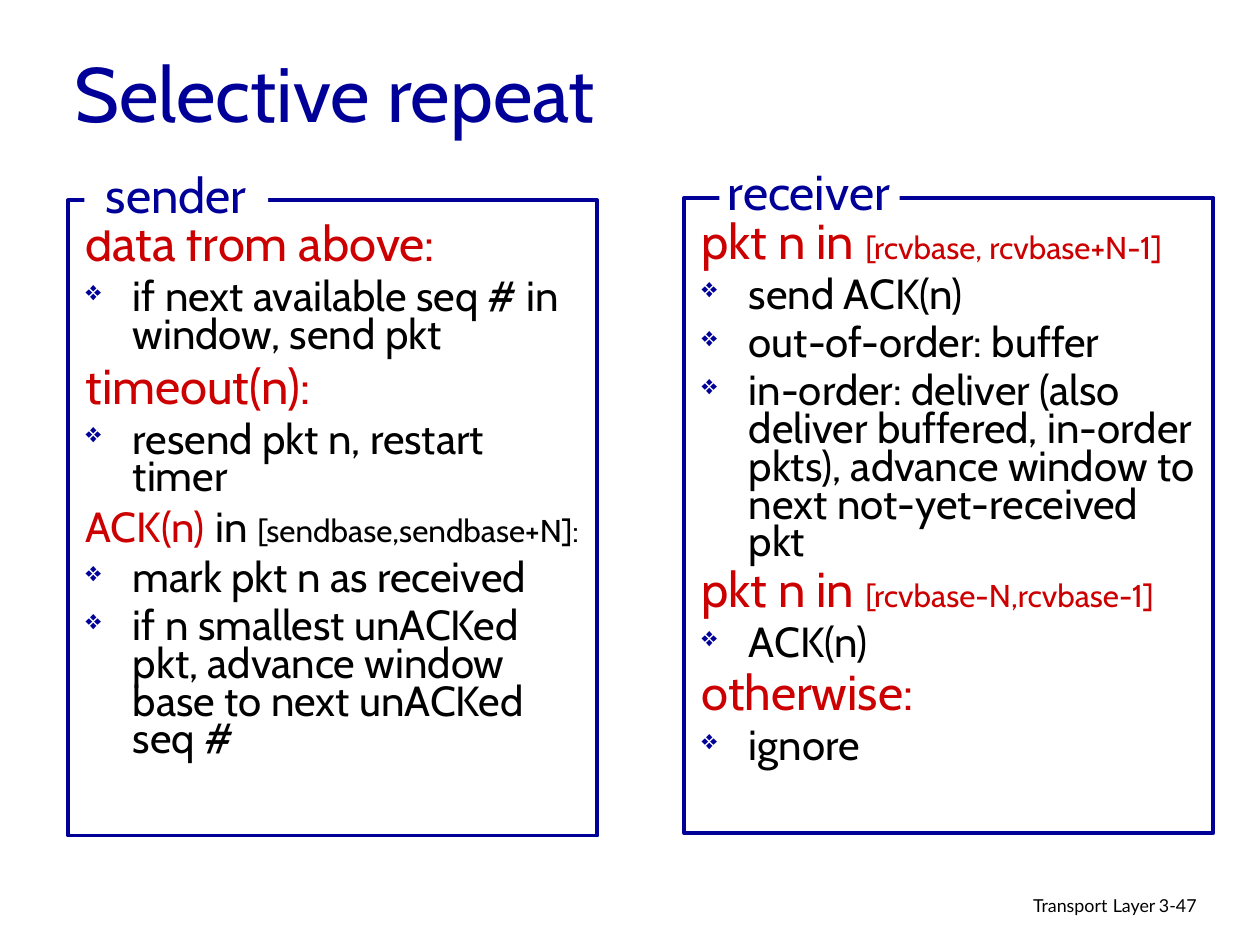
from lxml.etree import SubElement as Sub
from pptx import Presentation
from pptx.dml.color import RGBColor as RGB
from pptx.enum.shapes import MSO_SHAPE as Shape
from pptx.enum.text import MSO_ANCHOR as Anchor, MSO_AUTO_SIZE as Auto, PP_ALIGN as Align
from pptx.oxml.ns import qn
from pptx.util import Pt

# Content: a line is (kind, space before, runs); a run is (text, size, colour)
BLUE, RED, BLACK, WHITE = "000099", "CC0000", "000000", "FFFFFF"
TITLE = "Selective repeat"


def head(gap, text, note=""):
    runs = [(text, 28, RED)]
    if note:
        runs.append((note, 18, RED))
    return "head", gap, runs


def item(text):
    return "item", 6, [(text, 24, BLACK)]


SENDER = [
    head(0, "data from above:"),
    item("if next available seq # in window, send pkt"),
    head(7, "timeout(n):"),
    item("resend pkt n, restart timer"),
    ("head", 4.5, [("ACK(n)", 24, RED), (" ", 28, RED), ("in ", 24, BLACK),
                   ("[sendbase,sendbase+N]:", 18, BLACK)]),
    item("mark pkt n as received"),
    item("if n smallest unACKed pkt, advance window base to next unACKed seq #"),
]
RECEIVER = [
    head(0, "pkt n in ", "[rcvbase, rcvbase+N-1]"),
    item("send ACK(n)"),
    item("out-of-order: buffer"),
    item("in-order: deliver (also deliver buffered, in-order pkts), "
         "advance window to next not-yet-received pkt"),
    head(4.5, "pkt n in ", "[rcvbase-N,rcvbase-1]"),
    item("ACK(n)"),
    head(6, "otherwise:"),
    item("ignore"),
]
# Label, lines, then boxes (left, top, width, height): text, frame, gap, label
PANELS = [
    ("sender", SENDER, (41.8, 126, 300, 366), (38.9, 114.5, 302.4, 363),
     (48.2, 90.7, 105.1, 41), (48.2, 90.7, 105.1, 41)),
    ("receiver", RECEIVER, (393.8, 124.6, 300, 366), (391, 113, 302.4, 363),
     (411.1, 102.2, 103, 22.3), (402.5, 88.6, 119.5, 41)),
]
FOOTER = [
    ((439.2, 507.6, 228.2, 22.3), Align.RIGHT,
     [("Transport", 10.2, BLACK), (" ", 11.9, BLACK), ("Layer", 10.2, BLACK)]),
    ((655.2, 509, 53.3, 21.6), Align.LEFT, [("3-47", 10.2, BLACK)]),
]


def color(code):
    return RGB.from_string(code)


def fill_runs(para, runs, face="Cabin"):
    for text, size, code in runs:
        run = para.add_run()
        run.text = text
        run.font.name = face
        run.font.size = Pt(size)
        run.font.color.rgb = color(code)


def add_text(slide, box, wrap=True):
    frame = slide.shapes.add_textbox(*map(Pt, box)).text_frame
    frame.word_wrap = wrap
    return frame


def add_rect(slide, box):
    rect = slide.shapes.add_shape(Shape.RECTANGLE, *map(Pt, box))
    rect.shadow.inherit = False
    return rect


def indent(para, kind):
    props = para._p.get_or_add_pPr()
    props.set("marL", str(Pt(27)))
    props.set("indent", str(-Pt(27)))
    if kind == "item":
        tint = Sub(props, qn("a:buClr"))
        Sub(tint, qn("a:srgbClr"), val=BLUE)
        Sub(props, qn("a:buSzPct"), val="65000")
        Sub(props, qn("a:buChar"), char="❖")
    else:
        Sub(props, qn("a:buNone"))


def add_panel(slide, label, lines, body, border, gap, tag):
    # Lines of text
    frame = add_text(slide, body)
    for i, (kind, space, runs) in enumerate(lines):
        para = frame.add_paragraph() if i else frame.paragraphs[0]
        indent(para, kind)
        para.line_spacing = 0.75
        para.space_before = Pt(space)
        fill_runs(para, runs)
    # Frame, with a white gap for the label
    rect = add_rect(slide, border)
    rect.fill.background()
    rect.line.color.rgb = color(BLUE)
    rect.line.width = Pt(2.25)
    mask = add_rect(slide, gap)
    mask.fill.solid()
    mask.fill.fore_color.rgb = color(WHITE)
    mask.line.fill.background()
    para = add_text(slide, tag, wrap=False).paragraphs[0]
    para.alignment = Align.CENTER
    fill_runs(para, [(label, 28, BLUE)])


def main():
    deck = Presentation()
    deck.slide_width, deck.slide_height = Pt(720), Pt(540)
    slide = deck.slides.add_slide(deck.slide_layouts[5])

    # Title
    title = slide.shapes.title
    title.left, title.top, title.width, title.height = map(Pt, (35.3, 19.4, 612, 66.2))
    frame = title.text_frame
    frame.auto_size = Auto.NONE
    frame.vertical_anchor = Anchor.MIDDLE
    para = frame.paragraphs[0]
    para.alignment = Align.LEFT
    fill_runs(para, [(TITLE, 44, BLUE)])

    # Footer
    for box, align, runs in FOOTER:
        para = add_text(slide, box).paragraphs[0]
        para.alignment = align
        para.line_spacing = 0.9
        fill_runs(para, runs, "Lato")

    # Panels
    for panel in PANELS:
        add_panel(slide, *panel)

    deck.save("out.pptx")


if __name__ == "__main__":
    main()
